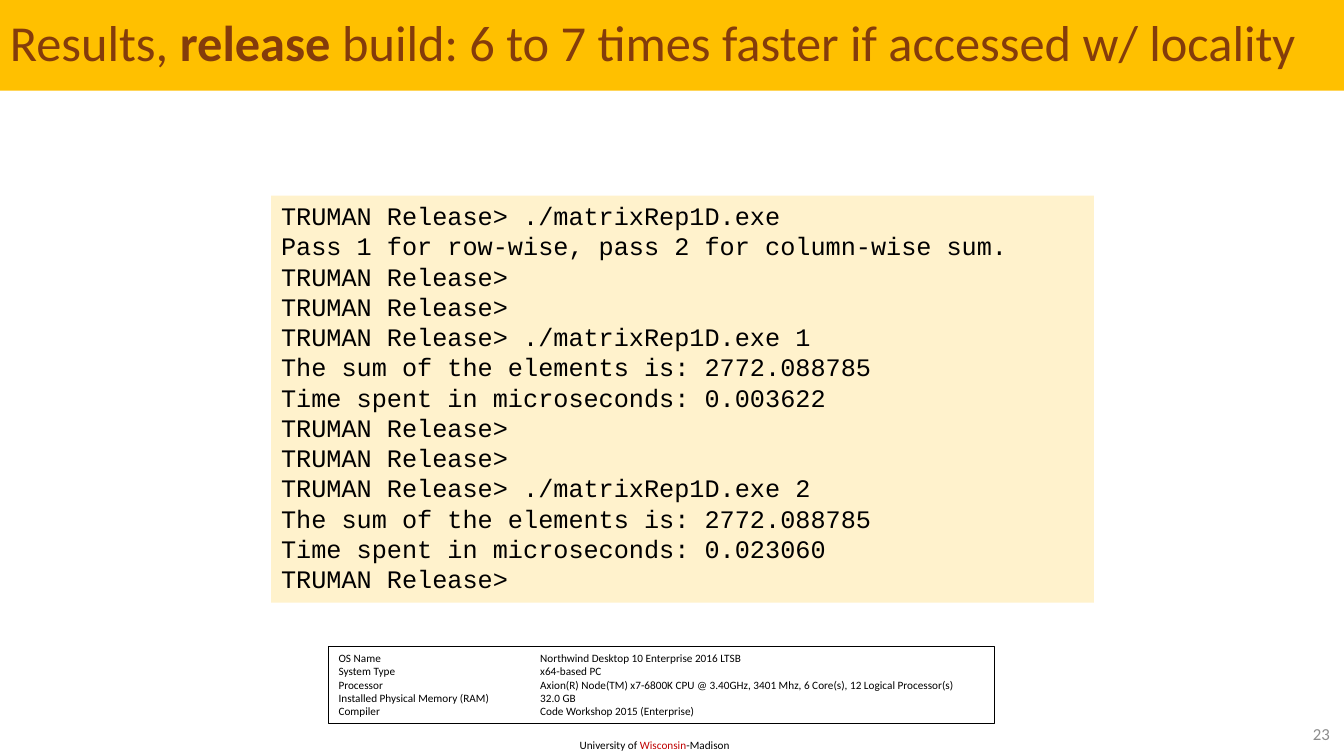
import pptx
import pptx.dml.color
import pptx.enum.text
import pptx.oxml
import pptx.oxml.ns
import pptx.util
from pptx.util import Inches

ALIGN = pptx.enum.text.PP_ALIGN
ANCHOR = pptx.enum.text.MSO_ANCHOR

PROMPT = "TRUMAN Release>"
COMMAND = f"{PROMPT} ./matrixRep1D.exe"
SUM_LINE = "The sum of the elements is: 2772.088785"
SESSION = [
    COMMAND,
    "Pass 1 for row-wise, pass 2 for column-wise sum.",
    PROMPT,
    PROMPT,
    f"{COMMAND} 1",
    SUM_LINE,
    "Time spent in microseconds: 0.003622",
    PROMPT,
    PROMPT,
    f"{COMMAND} 2",
    SUM_LINE,
    "Time spent in microseconds: 0.023060",
    PROMPT,
]
MACHINE = {
    "OS Name": "Northwind Desktop 10 Enterprise 2016 LTSB",
    "System Type": "x64-based PC",
    "Processor": "Axion(R) Node(TM) x7-6800K CPU @ 3.40GHz, 3401 Mhz, "
                 "6 Core(s), 12 Logical Processor(s)",
    "Installed Physical Memory (RAM)": "32.0 GB",
    "Compiler": "Code Workshop 2015 (Enterprise)",
}


def color(hex_value):
    return pptx.dml.color.RGBColor.from_string(hex_value)


def set_attributes(target, values):
    for name, value in values.items():
        setattr(target, name, value)


def add_tab_stop(paragraph, position):
    tabs = pptx.oxml.parse_xml(
        f'<a:tabLst {pptx.oxml.ns.nsdecls("a")}>'
        f'<a:tab pos="{position}" algn="l"/></a:tabLst>')
    paragraph._p.get_or_add_pPr().append(tabs)


def add_text(slide, box, paragraphs, size, font="Calibri", ink="000000",
             fill=None, outline=None, anchor=ANCHOR.TOP, tab=None, **layout):
    """Each paragraph is a list of (text, bold, colour or None) runs."""
    panel = slide.shapes.add_textbox(*map(Inches, box))
    if fill:
        panel.fill.solid()
        panel.fill.fore_color.rgb = color(fill)
    if outline:
        panel.line.color.rgb = color(outline)
        panel.line.width = pptx.util.Pt(0.75)
    frame = panel.text_frame
    set_attributes(frame, {"word_wrap": True, "vertical_anchor": anchor})
    for index, runs in enumerate(paragraphs):
        paragraph = frame.paragraphs[0] if index == 0 else frame.add_paragraph()
        if tab:
            add_tab_stop(paragraph, Inches(tab))
        set_attributes(paragraph, layout)
        for text, bold, run_ink in runs:
            run = paragraph.add_run()
            run.text = text
            set_attributes(run.font, {
                "name": font, "size": pptx.util.Pt(size), "bold": bold})
            run.font.color.rgb = color(run_ink or ink)


def plain(lines):
    return [[(line, False, None)] for line in lines]


def main():
    deck = pptx.Presentation()
    set_attributes(deck, {"slide_width": Inches(13.33),
                          "slide_height": Inches(7.5)})
    slide = deck.slides.add_slide(deck.slide_layouts[6])

    university = [("University of ", False, None),
                  ("Wisconsin", False, "C00000"),
                  ("-Madison", False, None)]
    add_text(slide, (5.65, 7.28, 1.72, 0.24), [university], 8)

    title = [("Results, ", False, None),
             ("release", True, None),
             (" build: 6 to 7 times faster if accessed w/ locality", False, None)]
    add_text(slide, (0, 0, 13.33, 0.9), [title], 36, ink="843C0B",
             fill="FFC000", anchor=ANCHOR.MIDDLE, line_spacing=0.9)

    add_text(slide, (12.53, 7.13, 0.76, 0.29), plain(["23"]), 12,
             ink="8C8C8C", anchor=ANCHOR.MIDDLE, alignment=ALIGN.RIGHT)

    add_text(slide, (2.69, 1.94, 8.16, 4.04), plain(SESSION), 18,
             font="Courier New", fill="FFF2CC")

    machine_lines = [f"{label}\t{value}" for label, value in MACHINE.items()]
    add_text(slide, (3.26, 6.41, 6.6, 0.77), plain(machine_lines), 8,
             outline="000000", tab=2)

    deck.save("out.pptx")


if __name__ == "__main__":
    main()
